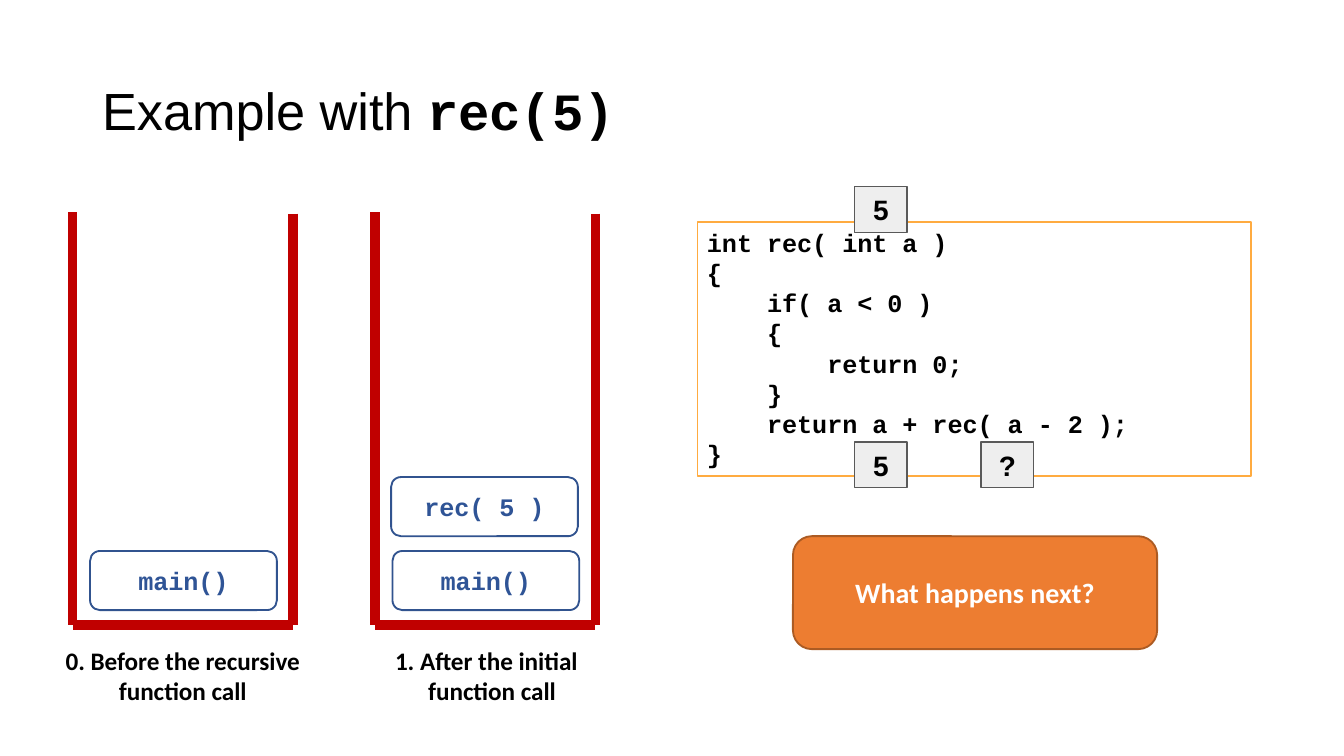
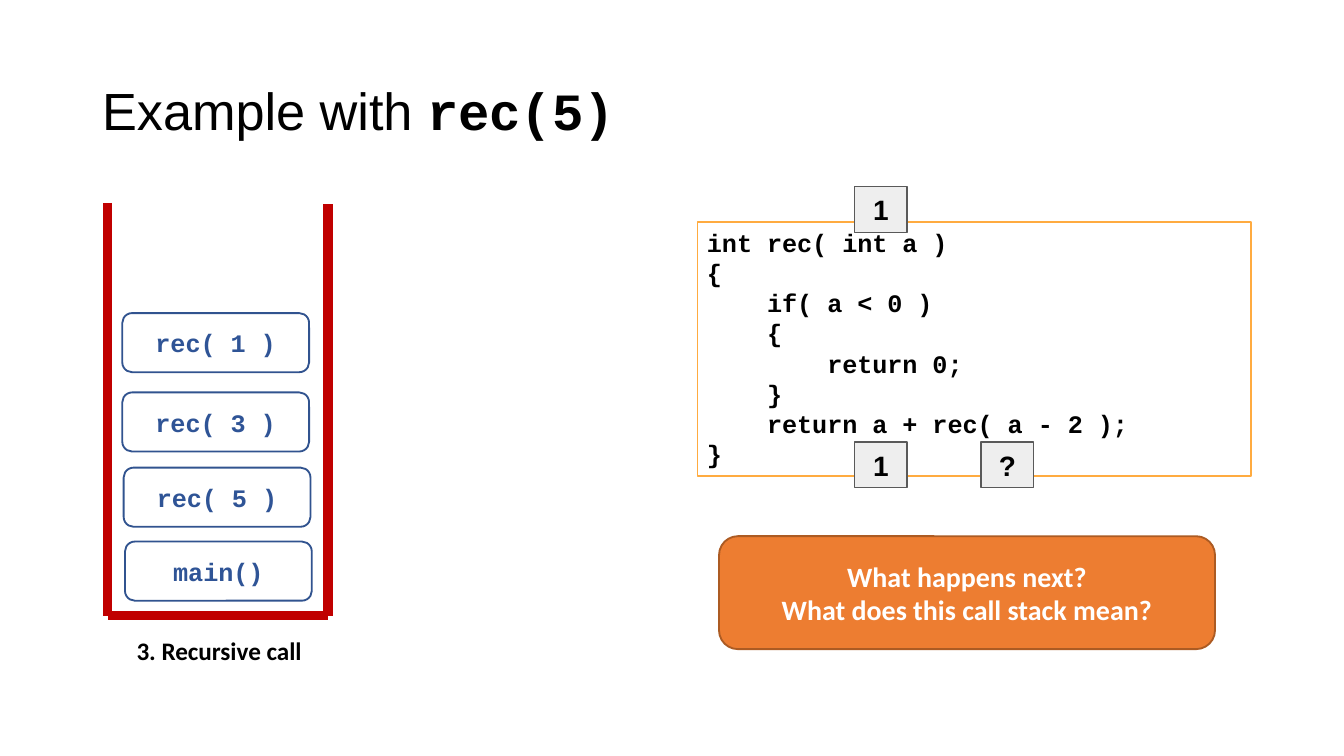
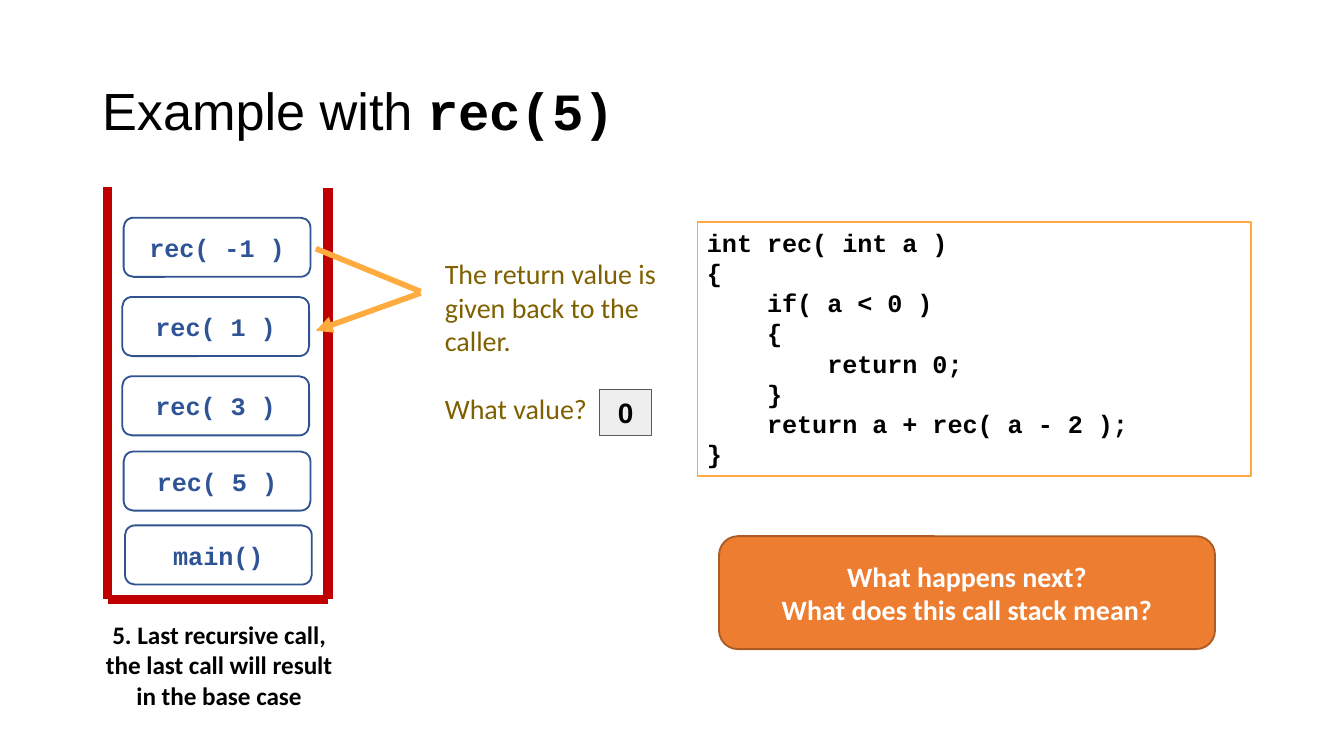
from lxml.etree import SubElement
from pptx import Presentation
from pptx.dml.color import RGBColor
from pptx.enum.shapes import MSO_CONNECTOR, MSO_SHAPE
from pptx.enum.text import MSO_ANCHOR, PP_ALIGN
from pptx.oxml.ns import qn
from pptx.util import Inches, Pt

# Colours
BLACK = "000000"
WHITE = "FFFFFF"
STACK_RED = "C00000"
FRAME_LINE = "31538F"
FRAME_TEXT = "2F5496"
AMBER = "FFAB40"
ORANGE = "ED7D31"
ORANGE_LINE = "AC5B23"
VALUE_FILL = "EEEEEE"
VALUE_LINE = "595959"
NOTE_TEXT = "7F6000"

# Fonts
SANS = "Arial"
BODY = "Calibri"
MONO = "Courier New"

# Call stack geometry
STACK_WIDTH = 1.64
STACK_HEIGHT = 3.07
FRAME_WIDTH, FRAME_HEIGHT = 1.39, 0.44
# Inset from the left wall and rise above the floor, from the bottom frame up
FRAME_SLOTS = [(0.13, 0.55), (0.12, 1.1), (0.11, 1.66), (0.11, 2.25), (0.12, 2.84)]

# Places of the values beside the code
PARAMETER = (6.36, 1.39)
OPERAND = (6.36, 3.29)
RESULT = (7.3, 3.29)

CODE = """int rec( int a )
{
    if( a < 0 )
    {
        return 0;
    }
    return a + rec( a - 2 );
}"""
WHAT_NEXT = "What happens next?"
WHAT_MEANS = "What does this call stack mean?"


def colour(hex_code):
    return RGBColor.from_string(hex_code)


def set_font(font, name, size, hex_code, bold=True):
    font.name = name
    font.size = Pt(size)
    font.color.rgb = colour(hex_code)
    font.bold = bold


def write_text(shape, lines, name, size, hex_code, bold=True,
               align=PP_ALIGN.CENTER, anchor=MSO_ANCHOR.MIDDLE, margin=0.04, gap=0):
    """Write one paragraph per line, with a gap in points between them."""
    frame = shape.text_frame
    frame.word_wrap = True
    frame.vertical_anchor = anchor
    frame.margin_left = frame.margin_right = Inches(0.07)
    frame.margin_top = frame.margin_bottom = Inches(margin)
    for index, line in enumerate(lines):
        paragraph = frame.add_paragraph() if index else frame.paragraphs[0]
        paragraph.add_run().text = line
        paragraph.alignment = align
        if index and gap:
            paragraph.space_before = Pt(gap)
        set_font(paragraph.font, name, size, hex_code, bold)


def add_text(slide, left, top, width, height):
    return slide.shapes.add_textbox(Inches(left), Inches(top), Inches(width), Inches(height))


def add_box(slide, kind, left, top, width, height, fill, line, line_width=1):
    shape = slide.shapes.add_shape(
        kind, Inches(left), Inches(top), Inches(width), Inches(height))
    shape.shadow.inherit = False
    if fill:
        shape.fill.solid()
        shape.fill.fore_color.rgb = colour(fill)
    else:
        shape.fill.background()
    shape.line.color.rgb = colour(line)
    shape.line.width = Pt(line_width)
    return shape


def add_line(slide, start, end, hex_code, width, arrow=False):
    x1, y1, x2, y2 = (Inches(value) for value in (*start, *end))
    line = slide.shapes.add_connector(MSO_CONNECTOR.STRAIGHT, x1, y1, x2, y2)
    line.line.color.rgb = colour(hex_code)
    line.line.width = Pt(width)
    if arrow:
        SubElement(line.line._get_or_add_ln(), qn("a:tailEnd"), type="triangle")
    SubElement(line._element.spPr, qn("a:effectLst"))


def add_title(slide):
    box = add_text(slide, 0.69, 0.3, 8.62, 1.09)
    write_text(box, ["Example with "], SANS, 28, BLACK, bold=False, align=PP_ALIGN.LEFT)
    paragraph = box.text_frame.paragraphs[0]
    paragraph.line_spacing = 0.9
    call = paragraph.add_run()
    call.text = "rec(5)"
    call.font.name = MONO
    call.font.bold = True


def add_code(slide):
    box = add_box(slide, MSO_SHAPE.RECTANGLE, 5.19, 1.65, 4.12, 1.89, WHITE, AMBER)
    write_text(box, CODE.split("\n"), MONO, 13.5, BLACK,
               align=PP_ALIGN.LEFT, anchor=MSO_ANCHOR.TOP)


def add_value(slide, place, value):
    box = add_box(slide, MSO_SHAPE.RECTANGLE, *place, 0.39, 0.34,
                  VALUE_FILL, VALUE_LINE, 0.75)
    write_text(box, [value], SANS, 15, BLACK, margin=0.07)


def add_question(slide, left, width, lines):
    box = add_box(slide, MSO_SHAPE.ROUNDED_RECTANGLE, left, 3.99, width, 0.84,
                  ORANGE, ORANGE_LINE)
    write_text(box, lines, BODY, 15, WHITE)


def add_stack(slide, left, floor, calls, caption, caption_left, caption_width,
              caption_height=0.76):
    """Draw an open-topped stack, its calls from the bottom up, and a caption."""
    right, top = left + STACK_WIDTH, floor - STACK_HEIGHT
    add_line(slide, (left, top), (left, floor), STACK_RED, 5)
    add_line(slide, (right, top + 0.01), (right, floor), STACK_RED, 5)
    add_line(slide, (left, floor), (right, floor), STACK_RED, 5)
    for call, (inset, rise) in zip(calls, FRAME_SLOTS):
        frame = add_box(slide, MSO_SHAPE.ROUNDED_RECTANGLE, left + inset, floor - rise,
                        FRAME_WIDTH, FRAME_HEIGHT, None, FRAME_LINE)
        write_text(frame, [call], MONO, 13.5, FRAME_TEXT)
    box = add_text(slide, caption_left, floor + 0.11, caption_width, caption_height)
    write_text(box, caption, BODY, 13.5, BLACK, anchor=MSO_ANCHOR.TOP)


def add_return_note(slide):
    """Show the value going from the last call back to its caller."""
    add_line(slide, (2.35, 1.85), (3.13, 2.17), AMBER, 3)
    add_line(slide, (3.13, 2.18), (2.35, 2.46), AMBER, 3, arrow=True)
    note = add_text(slide, 3.24, 1.84, 1.91, 1.4)
    write_text(note, ["The return value is given back to the caller.", "What value?"],
               BODY, 15, NOTE_TEXT, bold=False, align=PP_ALIGN.LEFT,
               anchor=MSO_ANCHOR.TOP, margin=0.07, gap=18)
    add_value(slide, (4.46, 2.9), "0")


def add_example_slide(presentation):
    slide = presentation.slides.add_slide(presentation.slide_layouts[6])
    add_title(slide)
    add_code(slide)
    return slide


def add_call_values(slide, argument):
    for place, value in ((OPERAND, argument), (RESULT, "?"), (PARAMETER, argument)):
        add_value(slide, place, value)


def main():
    # Widescreen page, 16:9
    presentation = Presentation()
    presentation.slide_width = Inches(10)
    presentation.slide_height = Inches(10 * 9 / 16)

    # Before and after the first call
    slide = add_example_slide(presentation)
    add_stack(slide, 0.54, 4.65, ["main()"],
              ["0. Before the recursive function call"], 0.37, 1.98, 0.53)
    add_stack(slide, 2.79, 4.65, ["main()", "rec( 5 )"],
              ["1. After the initial ", " function call"], 2.85, 1.58, 0.53)
    add_question(slide, 5.9, 2.71, [WHAT_NEXT])
    add_call_values(slide, "5")

    # Recursive call
    calls = ["main()", "rec( 5 )", "rec( 3 )", "rec( 1 )"]
    slide = add_example_slide(presentation)
    add_question(slide, 5.35, 3.69, [WHAT_NEXT, WHAT_MEANS])
    add_stack(slide, 0.8, 4.58, calls, ["3. Recursive call"], 0.69, 1.88)
    add_call_values(slide, "1")

    # Base case
    slide = add_example_slide(presentation)
    add_question(slide, 5.35, 3.69, [WHAT_NEXT, WHAT_MEANS])
    add_stack(slide, 0.8, 4.46, calls + ["rec( -1 )"],
              ["5. Last recursive call, the last call will result in the base case"],
              0.69, 1.88)
    add_return_note(slide)

    presentation.save("out.pptx")


if __name__ == "__main__":
    main()
